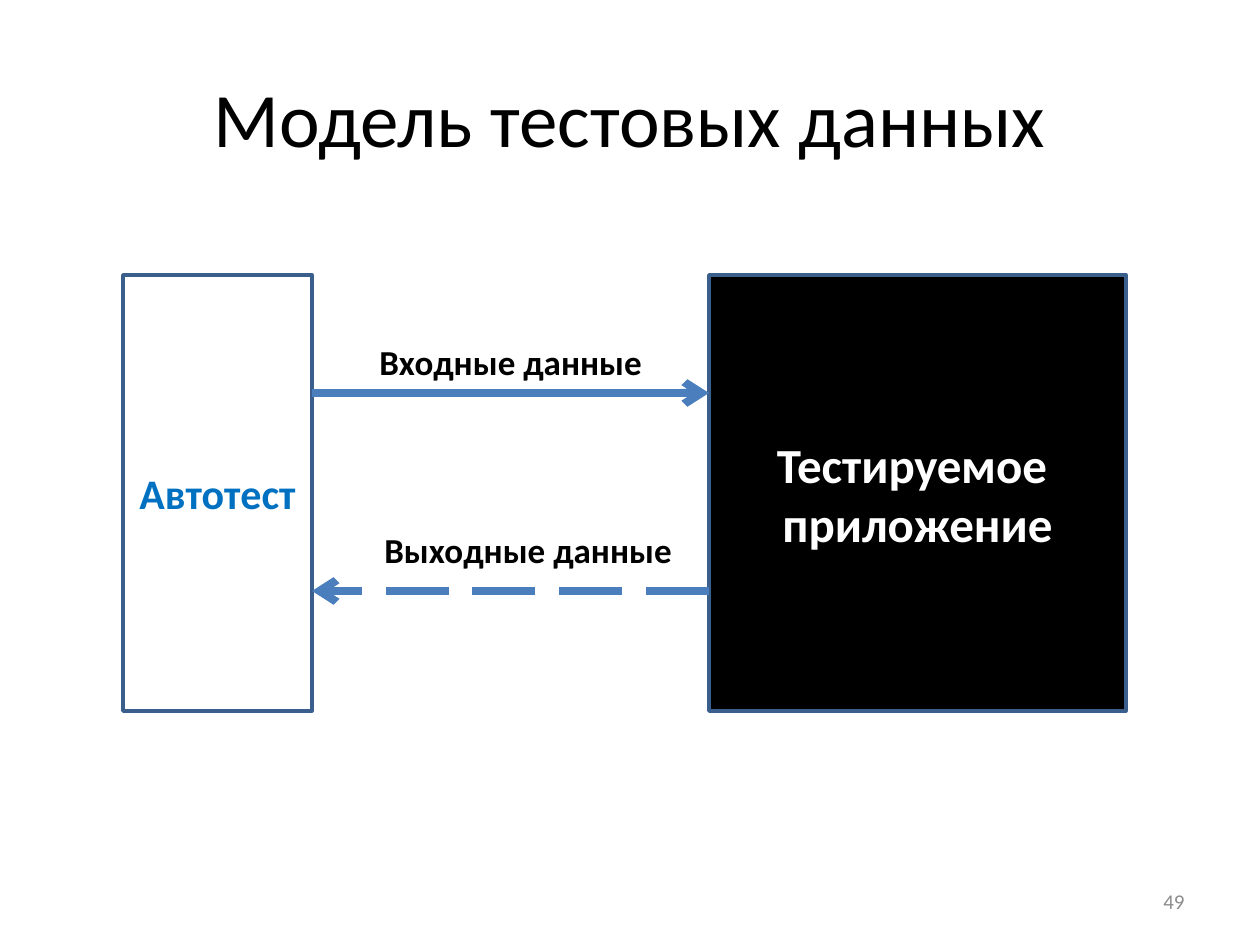
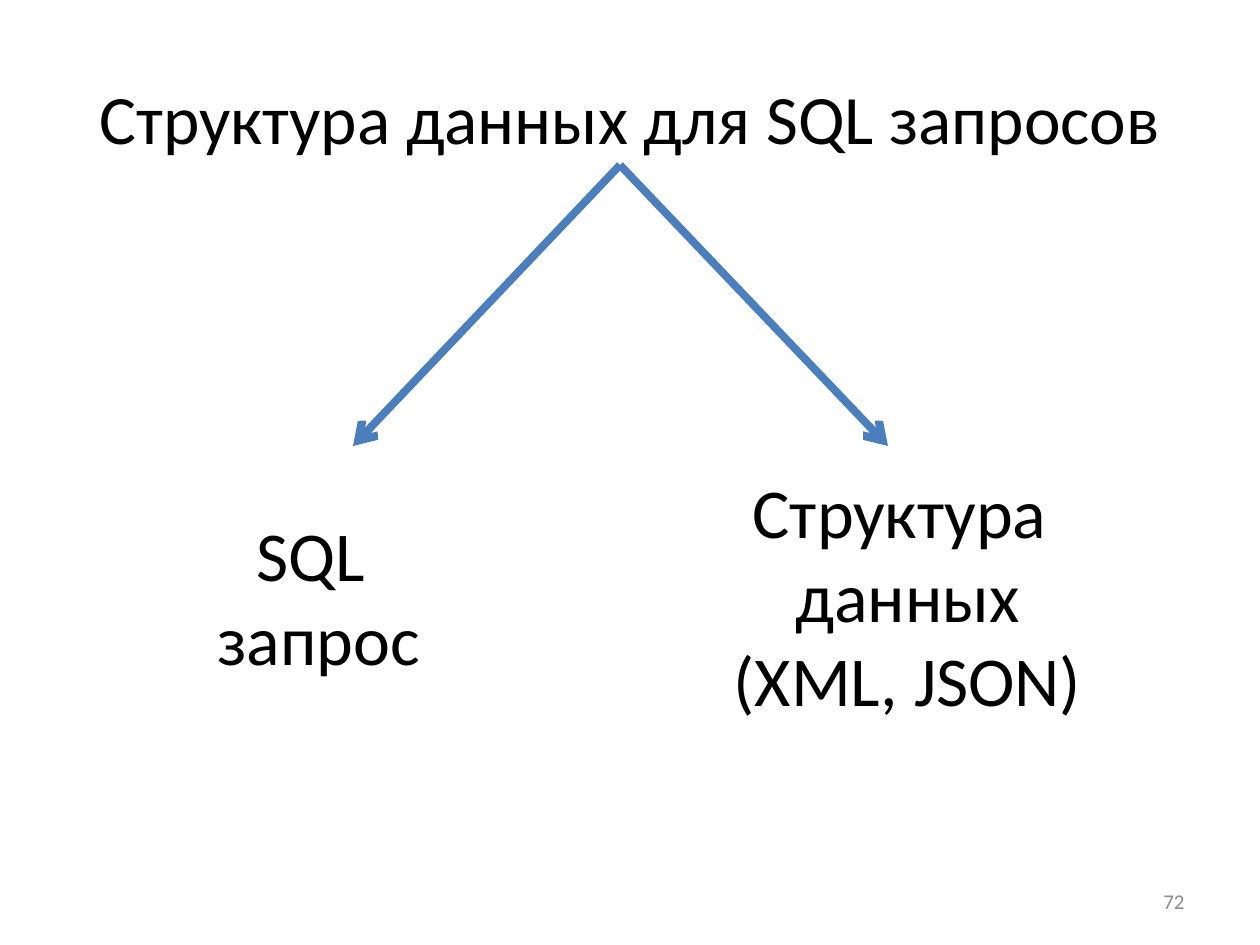
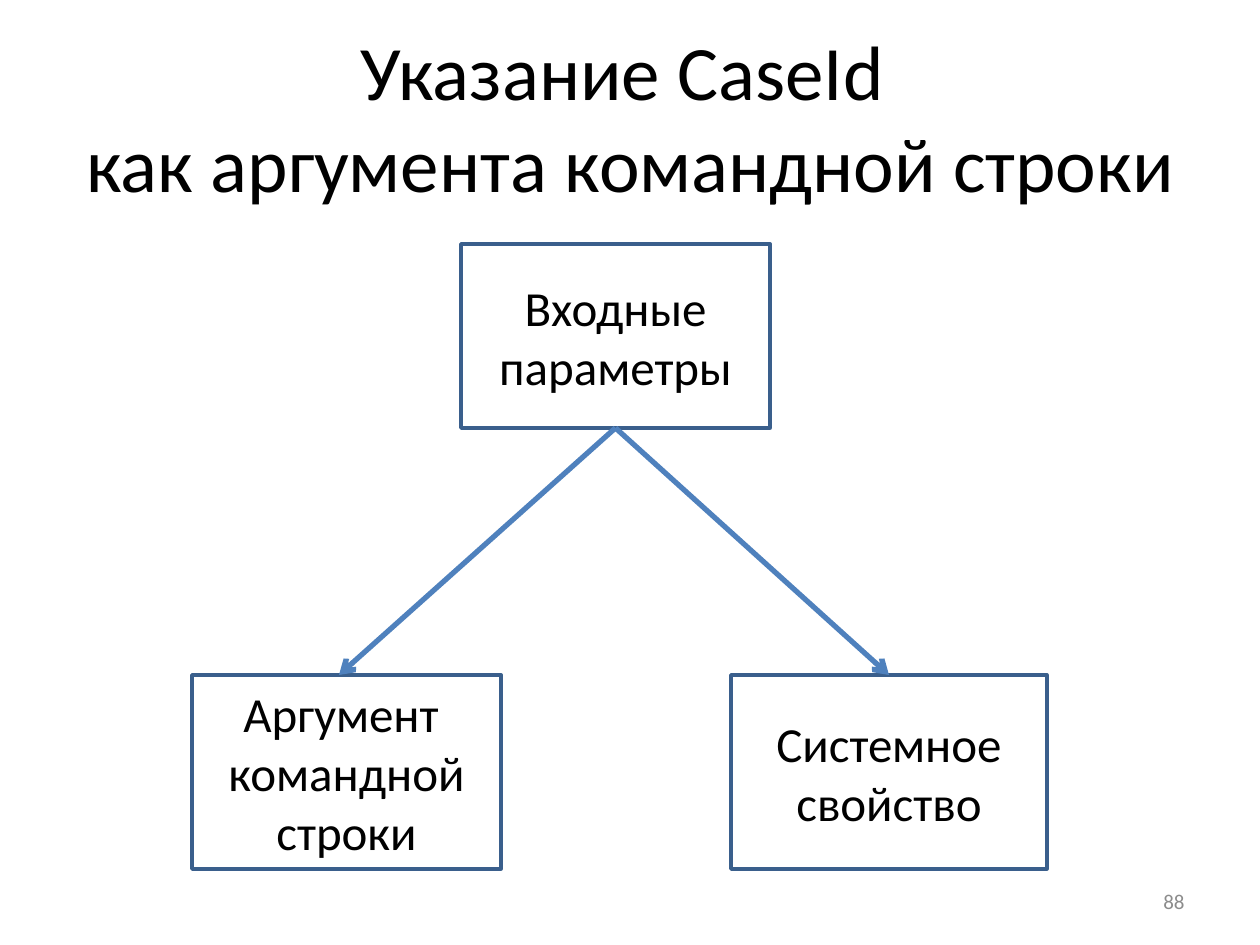
from lxml.etree import SubElement
from pptx import Presentation
from pptx.dml.color import RGBColor
from pptx.enum.dml import MSO_LINE
from pptx.enum.shapes import MSO_CONNECTOR, MSO_SHAPE
from pptx.enum.text import MSO_ANCHOR, PP_ALIGN
from pptx.oxml.ns import qn
from pptx.util import Emu, Pt

PX_PER_INCH = 126
BLACK, WHITE, GREY = "000000", "FFFFFF", "8C8C8C"
BORDER, ARROW, LIGHT_ARROW, ACCENT = "3A5F8C", "4B7EBC", "4F81BD", "0070C0"
TITLE_BOX = (63, 38, 1134, 157)
NUMBER_BOX = (903, 876, 294, 50)


def px(n):
    return Emu(round(n * 914400 / PX_PER_INCH))


def rgb(color):
    return RGBColor.from_string(color)


def write(tf, text, size, color=BLACK, bold=False, align=PP_ALIGN.CENTER,
          anchor=MSO_ANCHOR.MIDDLE, wrap=True):
    r"""Fill a text frame; \n starts a paragraph and \v breaks a line."""
    tf.text = text
    tf.word_wrap = wrap
    tf.vertical_anchor = anchor
    font = {"name": "Calibri", "size": Pt(size), "bold": bold}
    for p in tf.paragraphs:
        p.alignment = align
        for r in p.runs:
            for key, value in font.items():
                setattr(r.font, key, value)
            r.font.color.rgb = rgb(color)


def add_text(s, box, text, size, **style):
    sp = s.shapes.add_textbox(*map(px, box))
    write(sp.text_frame, text, size, **style)


def add_label(s, box, text, size, **style):
    add_text(s, box, text, size, anchor=MSO_ANCHOR.TOP, wrap=False, **style)


def add_titled_slide(prs, title, number, size=44, box=TITLE_BOX):
    s = prs.slides.add_slide(prs.slide_layouts[5])
    sp = s.shapes.title
    sp.left, sp.top, sp.width, sp.height = map(px, box)
    write(sp.text_frame, title, size)
    add_text(s, NUMBER_BOX, str(number), 12, color=GREY, align=PP_ALIGN.RIGHT)
    return s


def add_box(s, box, text, size=28, fill=None, **style):
    sp = s.shapes.add_shape(MSO_SHAPE.RECTANGLE, *map(px, box))
    sp.shadow.inherit = False
    if fill:
        sp.fill.solid()
        sp.fill.fore_color.rgb = rgb(fill)
    else:
        sp.fill.background()
    sp.line.color.rgb = rgb(BORDER)
    sp.line.width = Pt(2)
    write(sp.text_frame, text, size, **style)
    return sp


def add_arrow(s, start, end, color=ARROW, width=4.5, dash=None):
    cxn = s.shapes.add_connector(MSO_CONNECTOR.STRAIGHT, *map(px, start + end))
    cxn.line.color.rgb = rgb(color)
    cxn.line.width = Pt(width)
    if dash:
        cxn.line.dash_style = dash
    spPr = cxn._element.spPr
    SubElement(spPr.find(qn("a:ln")), qn("a:tailEnd"), type="arrow")
    SubElement(spPr, qn("a:effectLst"))
    return cxn


def build_data_model(prs):
    s = add_titled_slide(prs, "Модель тестовых данных", 49)
    add_box(s, (709, 275, 417, 436), "Тестируемое \nприложение",
            fill=BLACK, color=WHITE, bold=True)
    add_box(s, (123, 275, 189, 436), "Автотест", 24, color=ACCENT, bold=True)
    add_arrow(s, (312, 393), (709, 393))
    add_arrow(s, (709, 591), (312, 591), dash=MSO_LINE.LONG_DASH)
    for box, text in (((367, 334, 290, 55), "Входные данные"),
                      ((372, 522, 315, 55), "Выходные данные")):
        add_label(s, box, text, 20, bold=True, align=PP_ALIGN.LEFT)


def build_sql_structure(prs):
    s = add_titled_slide(prs, "Структура данных для SQL запросов", 72, 39.6)
    add_label(s, (203, 505, 231, 183), "SQL \vзапрос", 40)
    add_label(s, (719, 462, 377, 267), "Структура \vданных\n(XML, JSON)", 40)
    for x in (353, 888):
        add_arrow(s, (620, 165), (x, 446))


def build_case_id(prs):
    s = add_titled_slide(prs, "Указание CaseId \vкак аргумента командной строки",
                         88, box=(64, 37, 1134, 157))
    add_box(s, (192, 675, 309, 194), "Аргумент \nкомандной строки")
    system_property = add_box(s, (731, 675, 316, 194), "Системное свойство")
    inputs = add_box(s, (461, 244, 309, 184), "Входные параметры")
    to_argument, to_property = [
        add_arrow(s, (615, 428), (x, 675), LIGHT_ARROW, 3) for x in (339, 891)]
    for cxn in (to_argument, to_property):
        cxn.begin_connect(inputs, 2)
    to_property.end_connect(system_property, 0)


def main():
    prs = Presentation()
    prs.slide_width, prs.slide_height = px(1260), px(945)
    build_data_model(prs)
    build_sql_structure(prs)
    build_case_id(prs)
    prs.save("out.pptx")


if __name__ == "__main__":
    main()
